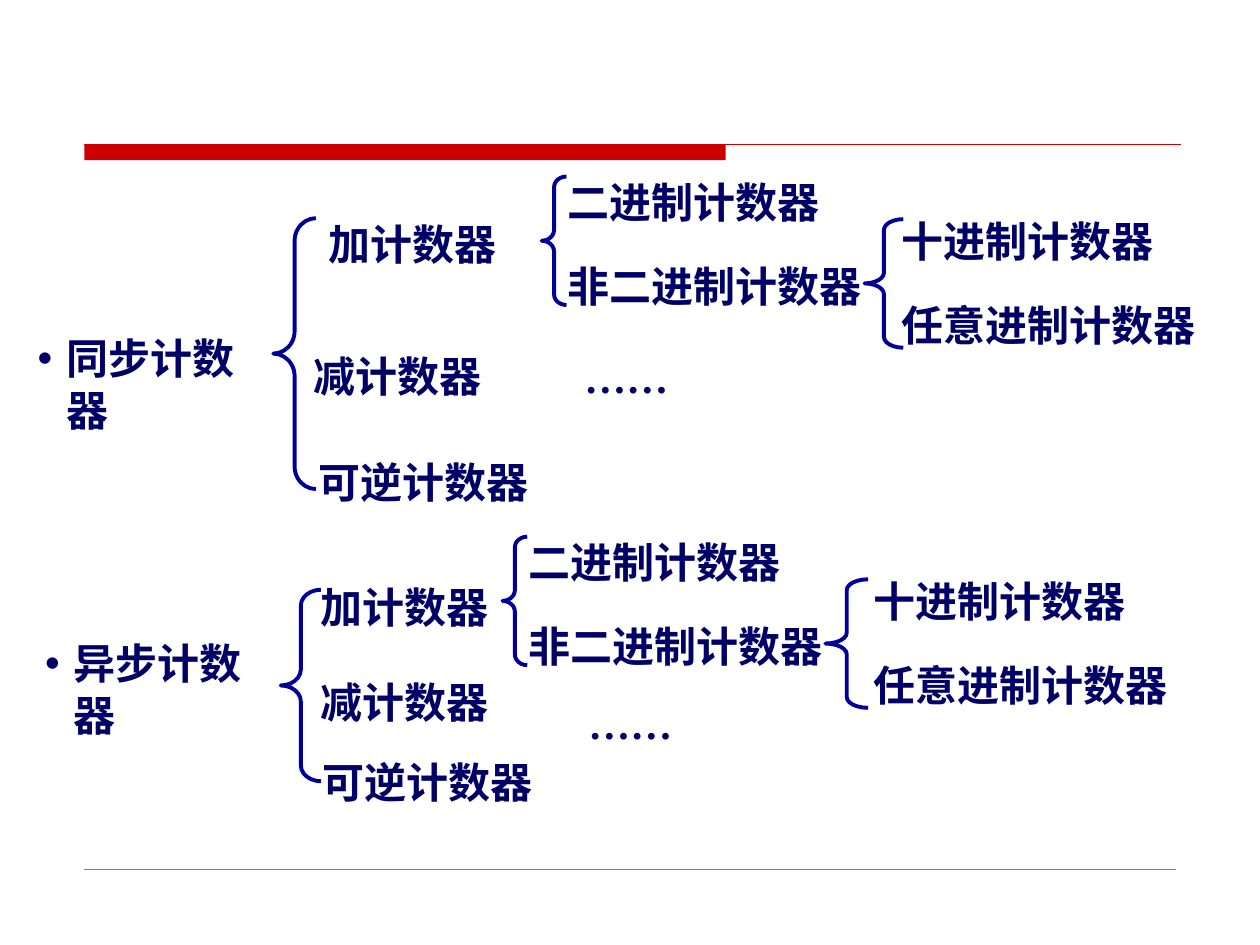
import pptx
import pptx.dml.color
import pptx.enum.shapes
import pptx.oxml
import pptx.oxml.ns
import pptx.util

Cm = pptx.util.Cm
Pt = pptx.util.Pt
SHAPES = pptx.enum.shapes.MSO_SHAPE
CJK = "Noto Sans CJK SC"
SERIF = "Times New Roman"
INK = "000066"
BRACE = "000099"
RED = "CC0000"
GREY = "808080"
ROW_PITCH = 1.68


def color(value):
    return pptx.dml.color.RGBColor.from_string(value)


def add_element(parent, tag, **attributes):
    element = pptx.oxml.parse_xml(f"<{tag} {pptx.oxml.ns.nsdecls('a')}/>")
    for name, value in attributes.items():
        element.set(name, value)
    parent.append(element)
    return element


def add_bullet(paragraph):
    properties = paragraph._p.get_or_add_pPr()
    properties.set("marL", str(Cm(0.58)))
    properties.set("indent", str(-Cm(0.58)))
    add_element(properties, "a:buFont", typeface="Arial")
    add_element(properties, "a:buChar", char="•")


def add_label(slide, left, top, text, width=None, pad=0, typeface=CJK, bullet=False):
    width = width or 0.85 * len(text) + 0.8 + pad
    frame = slide.shapes.add_textbox(Cm(left), Cm(top), Cm(width), Cm(1.27)).text_frame
    frame.word_wrap = True
    frame.margin_left = Cm(0.25 + pad)
    frame.margin_top = Cm(0.2)
    paragraph = frame.paragraphs[0]
    paragraph.text = text
    paragraph.line_spacing = Pt(29.7)
    if bullet:
        add_bullet(paragraph)
    font = paragraph.font
    font.size = Pt(24)
    font.bold = True
    font.color.rgb = color(INK)
    font.name = typeface
    add_element(font._element, "a:ea", typeface=typeface)


def add_brace(slide, left, top, width, height):
    brace = slide.shapes.add_shape(SHAPES.LEFT_BRACE, Cm(left), Cm(top), Cm(width), Cm(height))
    brace.adjustments[0] = height / 12 / width
    brace.shadow.inherit = False
    brace.fill.background()
    brace.line.color.rgb = color(BRACE)
    brace.line.width = Pt(2.25)


def add_rule(slide, left, top, width, line_color, weight):
    rule = slide.shapes.add_connector(
        pptx.enum.shapes.MSO_CONNECTOR.STRAIGHT, Cm(left), Cm(top), Cm(left + width), Cm(top))
    rule.line.color.rgb = color(line_color)
    rule.line.width = Pt(weight)
    add_element(rule._element.spPr, "a:effectLst")


def add_frame_rules(slide, left, top, width, height):
    bar = slide.shapes.add_shape(SHAPES.RECTANGLE, Cm(left), Cm(top), Cm(12.93), Cm(0.31))
    bar.shadow.inherit = False
    bar.fill.solid()
    bar.fill.fore_color.rgb = color(RED)
    bar.line.fill.background()
    add_rule(slide, left, top, width, RED, 0.75)
    add_rule(slide, left, top + height, width - 0.1, GREY, 0.25)


def add_branch(slide, left, top, names, brace_top, brace_width, label_left, pad=0):
    for row, name in enumerate(names):
        add_label(slide, left + label_left, top + row * ROW_PITCH, name, pad=pad)
    add_brace(slide, left, top + brace_top, brace_width, 2.59)


def add_counter_tree(slide, left, top, name, name_top, brace, directions,
                     ellipsis, radix_left, modulus_left, modulus_brace, modulus_pad):
    add_label(slide, left, top + name_top, name, width=5.3, bullet=True)
    brace_left, brace_top, brace_width, brace_height = brace
    add_brace(slide, left + brace_left, top + brace_top, brace_width, brace_height)
    for direction, (x, y) in zip(("加计数器", "减计数器", "可逆计数器"), directions):
        add_label(slide, left + x, top + y, direction)
    add_label(slide, left + ellipsis[0], top + ellipsis[1], "……", typeface=SERIF)
    add_branch(slide, left + radix_left, top, ("二进制计数器", "非二进制计数器"),
               0.23, 0.5, 0.28)
    add_branch(slide, left + modulus_left, top + 0.79, ("十进制计数器", "任意进制计数器"),
               0.3, modulus_brace, 0.31, modulus_pad)


def main():
    presentation = pptx.Presentation()
    presentation.slide_width = Cm(25.4)
    presentation.slide_height = Cm(19.05)
    slide = presentation.slides.add_slide(presentation.slide_layouts[6])
    add_frame_rules(slide, 1.7, 2.92, 22.1, 14.6)
    add_counter_tree(
        slide, 0.51, 3.33, "同步计数器", 3.15, (5, 1.07, 0.86, 5.46),
        ((5.87, 0.84), (5.56, 3.51), (5.66, 5.64)),
        ellipsis=(11.02, 3.53), radix_left=10.41,
        modulus_left=16.92, modulus_brace=0.78, modulus_pad=0.18)
    add_counter_tree(
        slide, 0.66, 10.59, "异步计数器", 2.03, (5, 1.3, 0.81, 3.86),
        ((5.56, 0.91), (5.56, 2.82), (5.59, 4.42)),
        ellipsis=(10.95, 3.23), radix_left=9.47,
        modulus_left=15.98, modulus_brace=0.86, modulus_pad=0.41)
    presentation.save("out.pptx")


if __name__ == "__main__":
    main()
